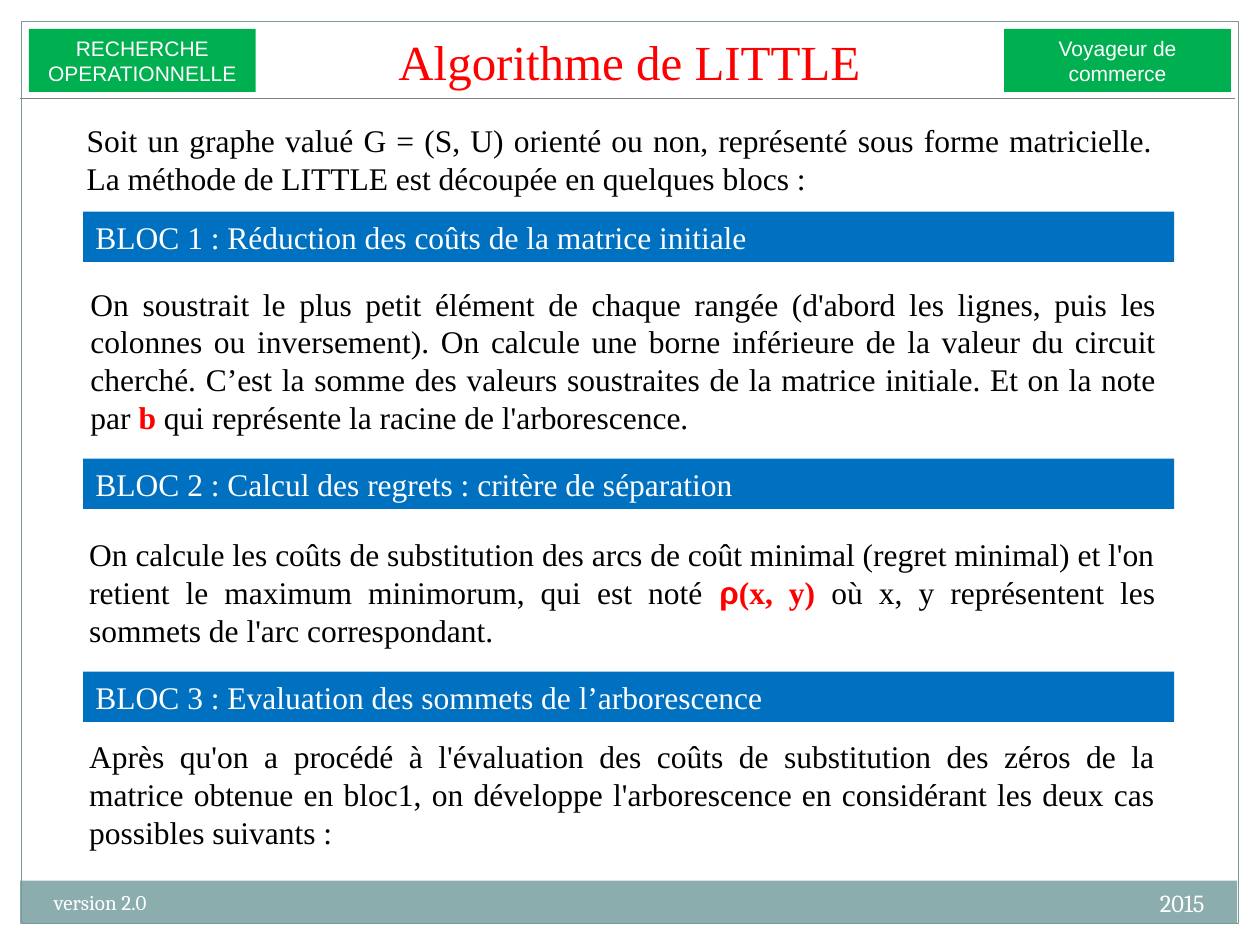
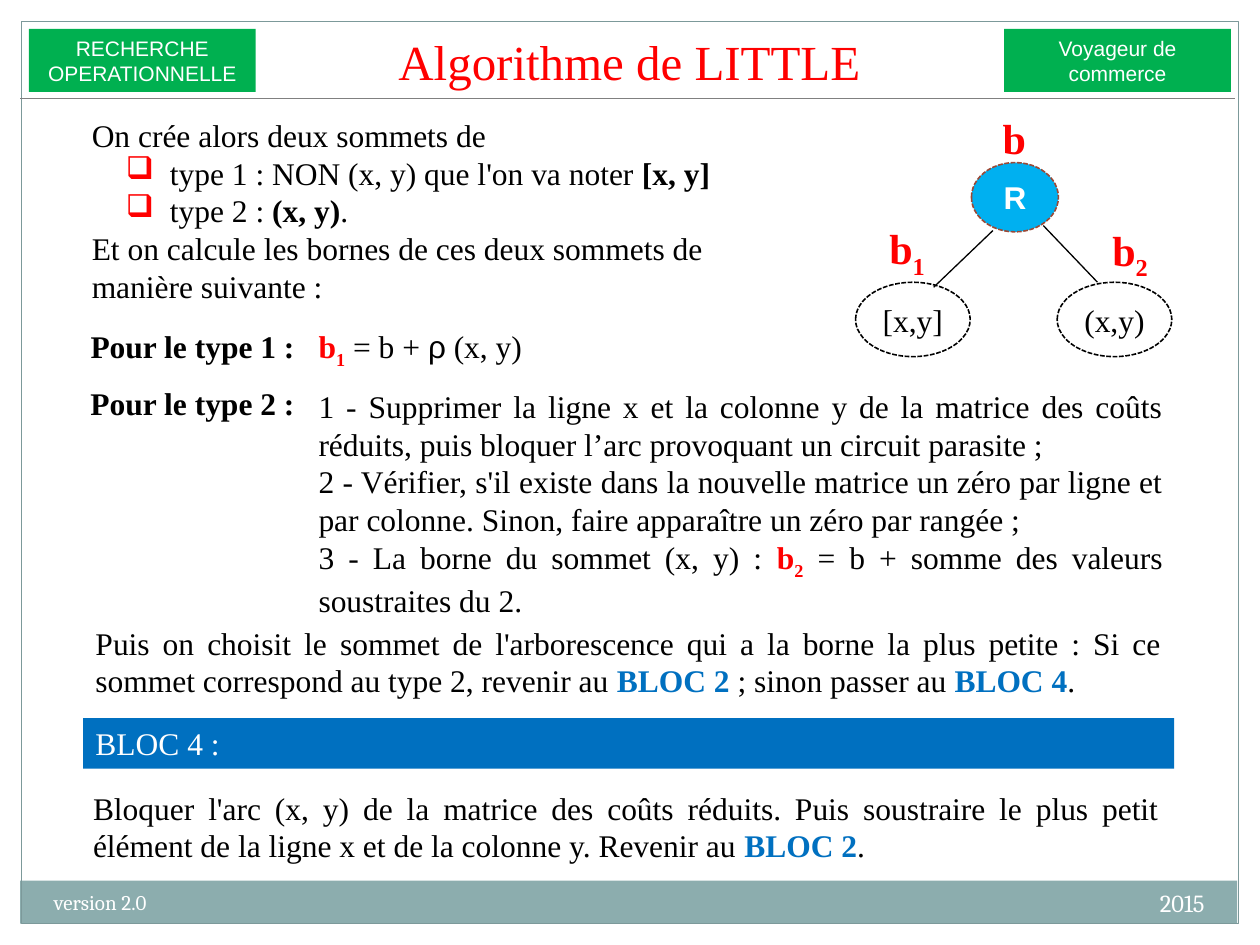
from dataclasses import dataclass

from lxml.etree import SubElement
from pptx import Presentation
from pptx.dml.color import RGBColor
from pptx.enum.dml import MSO_LINE
from pptx.enum.shapes import MSO_CONNECTOR, MSO_SHAPE
from pptx.enum.text import MSO_ANCHOR, MSO_AUTO_SIZE, PP_ALIGN
from pptx.oxml.ns import qn
from pptx.util import Inches, Pt


@dataclass(frozen=True)
class Theme:
    red: str = "FF0000"
    blue: str = "0070C0"
    sky: str = "00B0F0"
    green: str = "00B050"
    footer: str = "8CADAE"
    frame: str = "7C999A"
    rule: str = "808080"
    rust: str = "9B4936"
    black: str = "000000"
    white: str = "FFFFFF"
    serif: str = "Times New Roman"
    sans: str = "Arial"
    footer_font: str = "Cambria"
    title_size: int = 28
    label_size: int = 24
    body_size: int = 18
    year_size: int = 14
    small_size: int = 12


THEME = Theme()
TITLE = "Algorithme de LITTLE"
TAGS = [(0.23, ["RECHERCHE", "OPERATIONNELLE"]), (7.97, ["Voyageur de commerce"])]
FOOTERS = [
    ("2015", (6.33, 7, 3.33, 0.4), THEME.year_size, PP_ALIGN.RIGHT),
    ("version 2.0", (0.33, 7.01, 3.92, 0.4), THEME.small_size, PP_ALIGN.LEFT),
]
BAR_LEFT, BAR_WIDTH, BAR_HEIGHT = 0.66, 8.66, 0.4
FORMULA_TAB = 1.81
BULLET_MARGIN, BULLET_HANGING = 0.62, 0.35
LEFT, JUSTIFY, CENTER = PP_ALIGN.LEFT, PP_ALIGN.JUSTIFY, PP_ALIGN.CENTER

SLIDES = [
    {
        "bars": [
            (1.68, "BLOC 1 : Réduction des coûts de la matrice initiale"),
            (3.64, "BLOC 2 : Calcul des regrets : critère de séparation"),
            (5.33, "BLOC 3 : Evaluation des sommets de l’arborescence"),
        ],
        "texts": [
            ((0.59, 0.91, 8.66, 0.71), JUSTIFY, [
                ["Soit un graphe valué G = (S, U) orienté ou non, représenté sous forme matricielle. "
                 "La méthode de LITTLE est découpée en quelques blocs :"],
            ]),
            ((0.62, 2.21, 8.66, 1.31), JUSTIFY, [
                ["On soustrait le plus petit élément de chaque rangée (d'abord les lignes, puis les "
                 "colonnes ou inversement). On calcule une borne inférieure de la valeur du circuit "
                 "cherché. C’est la somme des valeurs soustraites de la matrice initiale. "
                 "Et on la note par ",
                 ("b", "red bold"), " qui représente la racine de l'arborescence."],
            ]),
            ((0.61, 4.2, 8.66, 1.01), JUSTIFY, [
                ["On calcule les coûts de substitution des arcs de coût minimal (regret minimal) et "
                 "l'on retient le maximum minimorum, qui est noté ",
                 ("ρ", "red bold sans"), ("(x, y)", "red bold"),
                 " où x, y représentent les sommets de l'arc correspondant."],
            ]),
            ((0.61, 5.8, 8.66, 1.01), JUSTIFY, [
                ["Après qu'on a procédé à l'évaluation des coûts de substitution des zéros de la "
                 "matrice obtenue en bloc1, on développe l'arborescence en considérant les deux cas "
                 "possibles suivants :"],
            ]),
        ],
    },
    {
        "bars": [(5.7, "BLOC 4 :")],
        "texts": [
            ((0.63, 0.87, 5.48, 1.62), LEFT, [
                ["On crée alors deux sommets de"],
                [("", "bullet"), "type 1 : NON (x, y) que l'on va noter ", ("[x, y]", "bold")],
                [("", "bullet"), "type 2 : ", ("(x, y)", "bold"), "."],
                ["Et on calcule les bornes de ces deux sommets de manière suivante :"],
            ]),
            ((0.62, 2.55, 5.48, 0.4), LEFT, [
                [("Pour le type 1 :\t", "bold"), ("b", "red bold"), ("1", "red bold sub"),
                 " = b + ", ("ρ", "sans"), " (x, y)"],
            ]),
            ((0.62, 3, 2.17, 0.4), LEFT, [[("Pour le type 2 :", "bold")]]),
            ((2.43, 3.02, 6.9, 1.92), JUSTIFY, [
                ["1 - Supprimer la ligne x et la colonne y de la matrice des coûts réduits, puis "
                 "bloquer l’arc provoquant un circuit parasite ;"],
                ["2 - Vérifier, s'il existe dans la nouvelle matrice un zéro par ligne et par "
                 "colonne. Sinon, faire apparaître un zéro par rangée ;"],
                ["3 - La borne du sommet (x, y) : ", ("b", "red bold"), ("2", "red bold sub"),
                 " = b + somme des valeurs soustraites du 2."],
            ]),
            ((0.66, 4.9, 8.66, 0.71), JUSTIFY, [
                ["Puis on choisit le sommet de l'arborescence qui a la borne la plus petite : Si ce "
                 "sommet correspond au type 2, revenir au ",
                 ("BLOC 2", "blue bold"), " ; sinon passer au ", ("BLOC 4", "blue bold"), "."],
            ]),
            ((0.64, 6.21, 8.66, 0.71), JUSTIFY, [
                ["Bloquer l'arc (x, y) de la matrice des coûts réduits. Puis soustraire le plus petit "
                 "élément de la ligne x et de la colonne y. Revenir au ",
                 ("BLOC 2", "blue bold"), "."],
            ]),
        ],
        "nodes": [
            ((7.71, 1.29, 0.69, 0.55), ("R", "white bold sans"), THEME.sky, THEME.rust),
            ((6.79, 2.24, 0.91, 0.59), "[x,y]", None, THEME.black),
            ((8.39, 2.24, 0.91, 0.59), "(x,y)", None, THEME.black),
        ],
        "branches": [(7.88, 1.83, 7.41, 2.28), (8.28, 1.79, 8.71, 2.24)],
        "bounds": [
            ((7.86, 0.84, 0.43, 0.5), [("b", "red bold")]),
            ((6.96, 1.72, 0.54, 0.5), [("b", "red bold"), ("1", "red bold sub")]),
            ((8.73, 1.73, 0.54, 0.5), [("b", "red bold"), ("2", "red bold sub")]),
        ],
    },
]


def color(value):
    return RGBColor.from_string(value)


def box(values):
    return [Inches(value) for value in values]


def add_bullet(paragraph):
    properties = paragraph._p.get_or_add_pPr()
    properties.set("marL", str(Inches(BULLET_MARGIN)))
    properties.set("indent", str(-Inches(BULLET_HANGING)))
    bullet_color = SubElement(properties, qn("a:buClr"))
    SubElement(bullet_color, qn("a:srgbClr"), val=THEME.red)
    SubElement(properties, qn("a:buChar"), char="❑")


def add_tab(paragraph):
    tabs = SubElement(paragraph._p.get_or_add_pPr(), qn("a:tabLst"))
    SubElement(tabs, qn("a:tab"), pos=str(Inches(FORMULA_TAB)), algn="l")


def add_run(paragraph, text, styles, size, font_name):
    run = paragraph.add_run()
    run.text = text
    font = run.font
    font.size = Pt(size)
    font.name = THEME.sans if "sans" in styles else font_name
    font.bold = "bold" in styles
    shade = next((name for name in ("red", "blue", "white") if name in styles), "black")
    font.color.rgb = color(getattr(THEME, shade))
    if "sub" in styles:
        run._r.get_or_add_rPr().set("baseline", "-25000")


def write(shape, paragraphs, alignment=LEFT, size=THEME.body_size, font_name=THEME.serif,
          anchor=MSO_ANCHOR.TOP, base_style=""):
    frame = shape.text_frame
    frame.word_wrap = True
    frame.auto_size = MSO_AUTO_SIZE.NONE
    frame.vertical_anchor = anchor
    for index, runs in enumerate(paragraphs):
        paragraph = frame.add_paragraph() if index else frame.paragraphs[0]
        paragraph.alignment = alignment
        for run in runs:
            text, style = (run, base_style) if isinstance(run, str) else run
            if style == "bullet":
                add_bullet(paragraph)
                continue
            if "\t" in text:
                add_tab(paragraph)
            add_run(paragraph, text, style.split(), size, font_name)


def add_figure(slide, kind, place, fill=None, line=None, width=0.75):
    shape = slide.shapes.add_shape(kind, *box(place))
    shape.shadow.inherit = False
    if fill:
        shape.fill.solid()
        shape.fill.fore_color.rgb = color(fill)
    else:
        shape.fill.background()
    if line:
        shape.line.color.rgb = color(line)
        shape.line.width = Pt(width)
    else:
        shape.line.fill.background()
    return shape


def add_line(slide, ends, line_color):
    connector = slide.shapes.add_connector(MSO_CONNECTOR.STRAIGHT, *box(ends))
    connector.line.color.rgb = color(line_color)
    connector.line.width = Pt(0.75)
    SubElement(connector._element.spPr, qn("a:effectLst"))


def add_node(slide, place, label, fill, outline):
    node = add_figure(slide, MSO_SHAPE.OVAL, place, fill, outline, 0.9)
    node.line.dash_style = MSO_LINE.SQUARE_DOT
    write(node, [[label]], CENTER, anchor=MSO_ANCHOR.MIDDLE)
    frame = node.text_frame
    frame.margin_left = frame.margin_right = frame.margin_top = frame.margin_bottom = 0


def add_common_parts(slide):
    add_figure(slide, MSO_SHAPE.RECTANGLE, (0.16, 6.99, 9.66, 0.34), THEME.footer)
    add_figure(slide, MSO_SHAPE.RECTANGLE, (0.17, 0.17, 9.66, 7.16), line=THEME.frame)
    for text, place, size, alignment in FOOTERS:
        write(slide.shapes.add_textbox(*box(place)), [[text]], alignment, size,
              THEME.footer_font, base_style="white")
    title = slide.shapes.title
    title.left, title.top, title.width, title.height = box((1.87, 0.08, 6.25, 0.69))
    write(title, [[(TITLE, "red")]], CENTER, THEME.title_size, anchor=MSO_ANCHOR.BOTTOM)
    for left, lines in TAGS:
        tag = add_figure(slide, MSO_SHAPE.RECTANGLE, (left, 0.23, 1.8, 0.5), THEME.green)
        write(tag, [[line] for line in lines], CENTER, THEME.small_size, THEME.sans,
              base_style="white")
    add_line(slide, (0.16, 0.78, 9.8, 0.78), THEME.rule)


def build_slide(presentation, content):
    slide = presentation.slides.add_slide(presentation.slide_layouts[5])
    add_common_parts(slide)
    for top, heading in content["bars"]:
        place = (BAR_LEFT, top, BAR_WIDTH, BAR_HEIGHT)
        bar = add_figure(slide, MSO_SHAPE.RECTANGLE, place, THEME.blue)
        write(bar, [[heading]], base_style="white")
    for place, alignment, paragraphs in content["texts"]:
        write(slide.shapes.add_textbox(*box(place)), paragraphs, alignment)
    for node in content.get("nodes", []):
        add_node(slide, *node)
    for ends in content.get("branches", []):
        add_line(slide, ends, THEME.black)
    for place, runs in content.get("bounds", []):
        write(slide.shapes.add_textbox(*box(place)), [runs], size=THEME.label_size)


def main():
    presentation = Presentation()
    presentation.slide_width, presentation.slide_height = Inches(10), Inches(7.5)
    for content in SLIDES:
        build_slide(presentation, content)
    presentation.save("out.pptx")


if __name__ == "__main__":
    main()
